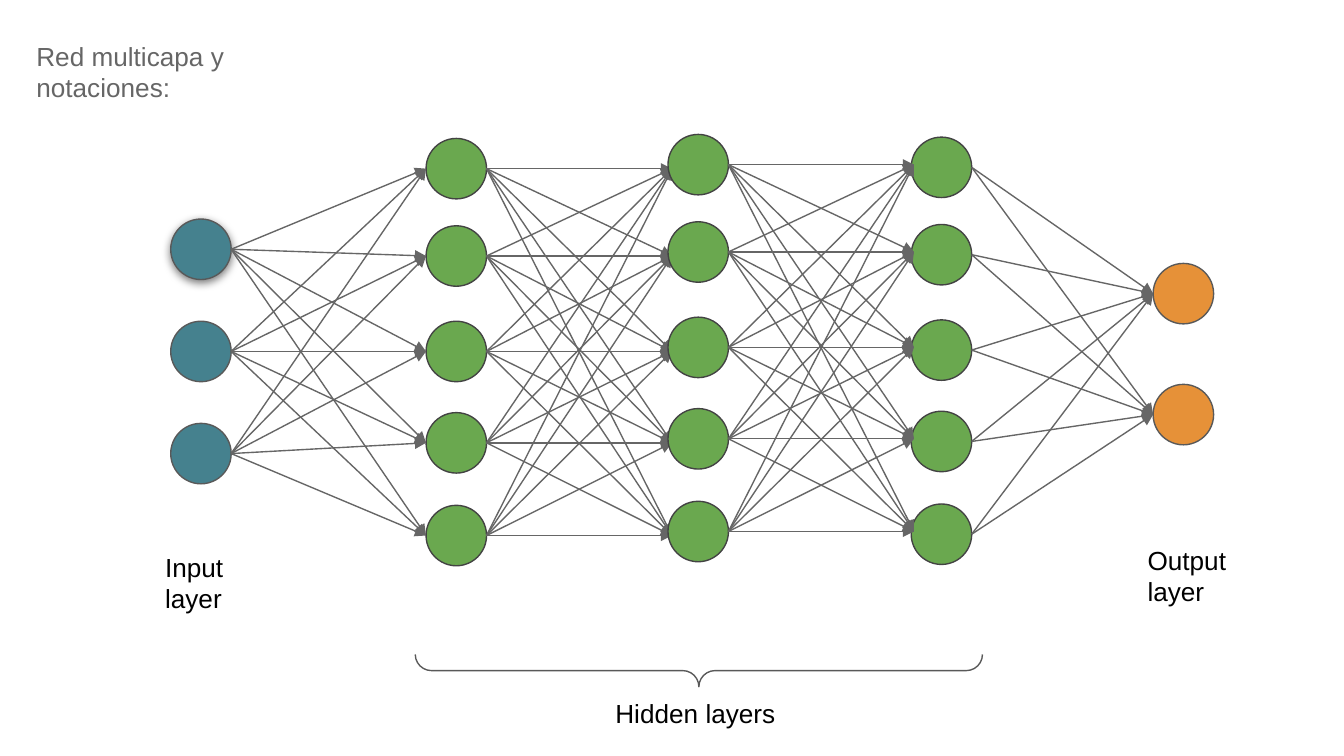
from lxml import etree
from pptx import Presentation
from pptx.dml.color import RGBColor
from pptx.enum.shapes import MSO_CONNECTOR as Link, MSO_SHAPE as Shape
from pptx.enum.text import MSO_ANCHOR as Anchor, MSO_AUTO_SIZE as AutoSize, PP_ALIGN as Align
from pptx.oxml import parse_xml
from pptx.oxml.ns import nsdecls, qn
from pptx.util import Inches, Pt

SIZE = 0.45
HIDDEN_STEPS = (0, 0.65, 1.36, 2.04, 2.73)
GREEN, TEAL, ORANGE = "6AA84F", "45818E", "E69138"
DARK, GREY, LINK_GREY, BLACK = "434343", "595959", "666666", "000000"


def rgb(value):
    """Turn a hex string into a colour."""
    return RGBColor.from_string(value)


def outline(shape, color):
    """Give a shape or connector a thin line."""
    shape.line.color.rgb = rgb(color)
    shape.line.width = Pt(0.75)


def add_layer(page, left, tops, fill, line):
    """Draw one column of neurons and return the circles."""
    neurons = []
    for top in tops:
        neuron = page.shapes.add_shape(
            Shape.OVAL, Inches(left), Inches(top), Inches(SIZE), Inches(SIZE))
        neuron.shadow.inherit = False
        neuron.fill.solid()
        neuron.fill.fore_color.rgb = rgb(fill)
        outline(neuron, line)
        neurons.append(neuron)
    return neurons


def cast_shadow(shape):
    """Put a soft shadow below a shape."""
    effects = shape._element.spPr.find(qn("a:effectLst"))
    effects.append(parse_xml(
        f'<a:outerShdw {nsdecls("a")} blurRad="57150" dist="19050" dir="5400000" '
        'algn="bl" rotWithShape="0"><a:srgbClr val="000000">'
        '<a:alpha val="50000"/></a:srgbClr></a:outerShdw>'))


def add_arrow(page, start, end):
    """Draw an arrow between two points given in inches."""
    points = [Inches(value) for value in (*start, *end)]
    arrow = page.shapes.add_connector(Link.STRAIGHT, *points)
    outline(arrow, LINK_GREY)
    etree.SubElement(arrow.line._get_or_add_ln(), qn("a:tailEnd"), type="triangle")
    etree.SubElement(arrow._element.spPr, qn("a:effectLst"))


def link_layers(page, left, tops, end_left, end_tops):
    """Join every neuron of one layer to every neuron of the next."""
    for top in tops:
        for end_top in end_tops:
            add_arrow(page, (left + SIZE, top + SIZE / 2), (end_left, end_top + SIZE / 2))


def write(box, text, color=BLACK, size=14, font="Arial"):
    """Write one left-aligned paragraph at the top of a box."""
    frame = box.text_frame
    frame.word_wrap = True
    frame.auto_size = AutoSize.NONE
    frame.vertical_anchor = Anchor.TOP
    frame.margin_left = frame.margin_right = Inches(0.1)
    frame.margin_top = frame.margin_bottom = Inches(0.1)
    para = frame.paragraphs[0]
    para.alignment = Align.LEFT
    para.line_spacing = 1.0
    para.space_before = Pt(0)
    span = para.add_run()
    span.text = text
    span.font.name = font
    span.font.size = Pt(size)
    span.font.color.rgb = rgb(color)


def add_title(page, text, left, top, width, height):
    """Place and fill the title placeholder."""
    title = page.shapes.title
    title.left, title.top = Inches(left), Inches(top)
    title.width, title.height = Inches(width), Inches(height)
    write(title, text, color=LINK_GREY)


def add_label(page, text, left, top, width, height):
    """Add a text label."""
    box = page.shapes.add_textbox(Inches(left), Inches(top), Inches(width), Inches(height))
    write(box, text)


def add_brace(page, left, top, width, height):
    """Add a right brace turned to point down."""
    brace = page.shapes.add_shape(
        Shape.RIGHT_BRACE, Inches(left), Inches(top), Inches(width), Inches(height))
    brace.rotation = 90
    brace.adjustments[0] = brace.adjustments[1] = 0.5
    brace.shadow.inherit = False
    brace.fill.background()
    outline(brace, GREY)


def main():
    """Build the neural network slide."""
    deck = Presentation()
    deck.slide_width = Inches(10)
    deck.slide_height = Inches(10 * 9 / 16)
    page = deck.slides.add_slide(deck.slide_layouts[5])

    inputs = [1.63 + 0.76 * row for row in range(3)]
    first, second, third = ([top + step for step in HIDDEN_STEPS] for top in (1.03, 1, 1.02))
    outputs = [1.96, 2.86]

    add_title(page, "Red multicapa y notaciones:", 0.17, 0.2, 2.36, 0.82)
    input_neurons = add_layer(page, 1.27, inputs, TEAL, GREY)
    cast_shadow(input_neurons[0])
    add_layer(page, 3.17, first, GREEN, DARK)
    link_layers(page, 1.27, inputs, 3.17, first)
    link_layers(page, 3.17, first, 5, first)
    add_layer(page, 8.58, outputs, ORANGE, GREY)
    add_layer(page, 6.78, third, GREEN, DARK)
    link_layers(page, 6.78, third, 8.58, outputs)
    add_layer(page, 4.97, second, GREEN, DARK)
    link_layers(page, 4.97, second, 6.8, second)

    add_label(page, "Input layer", 1.13, 4, 0.66, 0.45)
    add_label(page, "Output layer", 8.44, 3.95, 0.94, 0.76)
    add_brace(page, 5.08, 2.88, 0.24, 4.22)
    add_label(page, "Hidden layers", 4.48, 5.09, 2.05, 0.68)
    deck.save("out.pptx")


if __name__ == "__main__":
    main()
